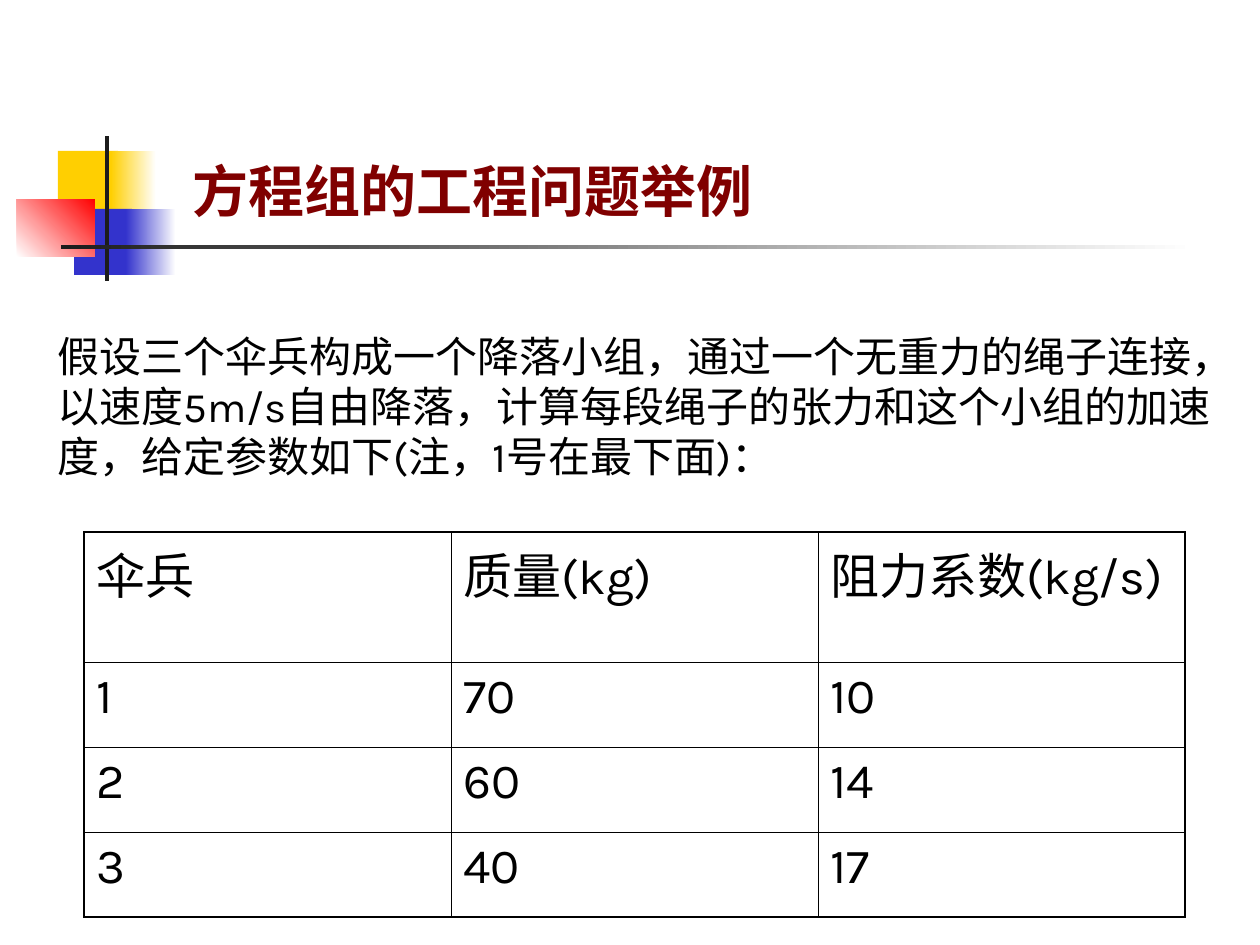
from lxml import etree
from pptx import Presentation
from pptx.dml.color import RGBColor
from pptx.enum.shapes import MSO_SHAPE
from pptx.oxml.ns import qn
from pptx.util import Pt

SCALE = 914400 / 126
FONT = "Karla"
CJK_FONT = "Times New Roman"
COLORS = {
    "yellow": "FFCF01", "blue": "3333CC", "red": "FF0000", "white": "FFFFFF",
    "bar": "1C1C1C", "title": "800000", "text": "000000",
}
TITLE = "方程组的工程问题举例"
PROBLEM = [
    "假设三个伞兵构成一个降落小组，通过一个无重力的绳子连接，",
    "以速度5m/s自由降落，计算每段绳子的张力和这个小组的加速",
    "度，给定参数如下(注，1号在最下面)：",
]
HEADERS = [("伞兵", ""), ("质量", "(kg)"), ("阻力系数", "(kg/s)")]
PARACHUTISTS = [("1", "70", "10"), ("2", "60", "14"), ("3", "40", "17")]


def px(length):
    """Turn pixels into EMU."""
    return round(length * SCALE)


def color(name):
    """Look up a colour by name."""
    return RGBColor.from_string(COLORS[name])


def style(font, size, name, face=FONT, bold=False):
    """Set size, colour, typeface and weight."""
    font.size, font.name, font.bold = Pt(size), face, bold
    font.color.rgb = color(name)


def add_block(slide, box, start, end=None, angle=0):
    """Add a borderless rectangle, plain or fading between two colours."""
    block = slide.shapes.add_shape(MSO_SHAPE.RECTANGLE, *map(px, box))
    block.shadow.inherit = False
    block.line.fill.background()
    if end is None:
        block.fill.solid()
        block.fill.fore_color.rgb = color(start)
        return
    block.fill.gradient()
    block.fill.gradient_angle = angle
    for stop, name, position in zip(block.fill.gradient_stops, (start, end), (0, 1)):
        stop.color.rgb = color(name)
        stop.position = position


def add_emblem(slide, left, top):
    """Place the coloured squares and the two crossing bars."""
    blocks = [
        ((41, 15, 60, 66), "yellow"),
        ((94, 15, 45, 66), "yellow", "white"),
        ((57, 73, 58, 66), "blue"),
        ((109, 73, 50, 66), "blue", "white"),
        ((0, 63, 78, 58), "white", "red", 45),
        ((88, 0, 4, 145), "bar"),
        ((44, 109, 1134, 4), "bar", "white"),
    ]
    for (x, y, width, height), *fill in blocks:
        add_block(slide, (left + x, top + y, width, height), *fill)


def add_text(slide, box, lines, size, name, bold=False, wrap=True):
    """Place a text box with one paragraph for each line."""
    frame = slide.shapes.add_textbox(*map(px, box)).text_frame
    frame.word_wrap = wrap
    frame.text = "\n".join(lines)
    for paragraph in frame.paragraphs:
        for run in paragraph.runs:
            style(run.font, size, name, bold=bold)


def set_borders(cell, widths):
    """Draw the cell's four sides in the given widths in points."""
    properties = cell._tc.get_or_add_tcPr()
    for index, (side, width) in enumerate(widths.items()):
        line = etree.Element(qn(f"a:{side}"), w=str(Pt(width)))
        fill = etree.SubElement(line, qn("a:solidFill"))
        etree.SubElement(fill, qn("a:srgbClr"), val=COLORS["text"])
        properties.insert(index, line)


def add_parameters(slide, left, top, column_width, header_height, row_height):
    """Place the table of parachutist parameters."""
    rows = [HEADERS] + [[("", value) for value in row] for row in PARACHUTISTS]
    last_row, last_column = len(rows) - 1, len(HEADERS) - 1
    height = header_height + last_row * row_height
    table = slide.shapes.add_table(
        len(rows), len(HEADERS), px(left), px(top),
        px(column_width * len(HEADERS)), px(height)).table
    table.first_row = table.horz_banding = False
    for column in table.columns:
        column.width = px(column_width)
    for r, row in enumerate(rows):
        table.rows[r].height = px(row_height if r else header_height)
        for c, (label, value) in enumerate(row):
            cell = table.cell(r, c)
            cell.fill.background()
            outer = {"lnL": c == 0, "lnR": c == last_column,
                     "lnT": r == 0, "lnB": r == last_row}
            set_borders(cell, {side: 1.08 if edge else 0.45
                               for side, edge in outer.items()})
            paragraph = cell.text_frame.paragraphs[0]
            for text, face in ((label, CJK_FONT), (value, FONT)):
                if text:
                    run = paragraph.add_run()
                    run.text = text
                    style(run.font, 28, "text", face)


def main():
    """Build the slide and save it."""
    presentation = Presentation()
    presentation.slide_width, presentation.slide_height = px(1260), px(945)
    slide = presentation.slides.add_slide(presentation.slide_layouts[6])
    add_emblem(slide, 17, 136)
    add_text(slide, (180, 150, 617, 81), [TITLE], 32, "title", bold=True)
    add_text(slide, (45, 324, 1201, 164), PROBLEM, 24, "text", wrap=False)
    add_parameters(slide, 84, 532, 367, 82, 85)
    presentation.save("out.pptx")


if __name__ == "__main__":
    main()
